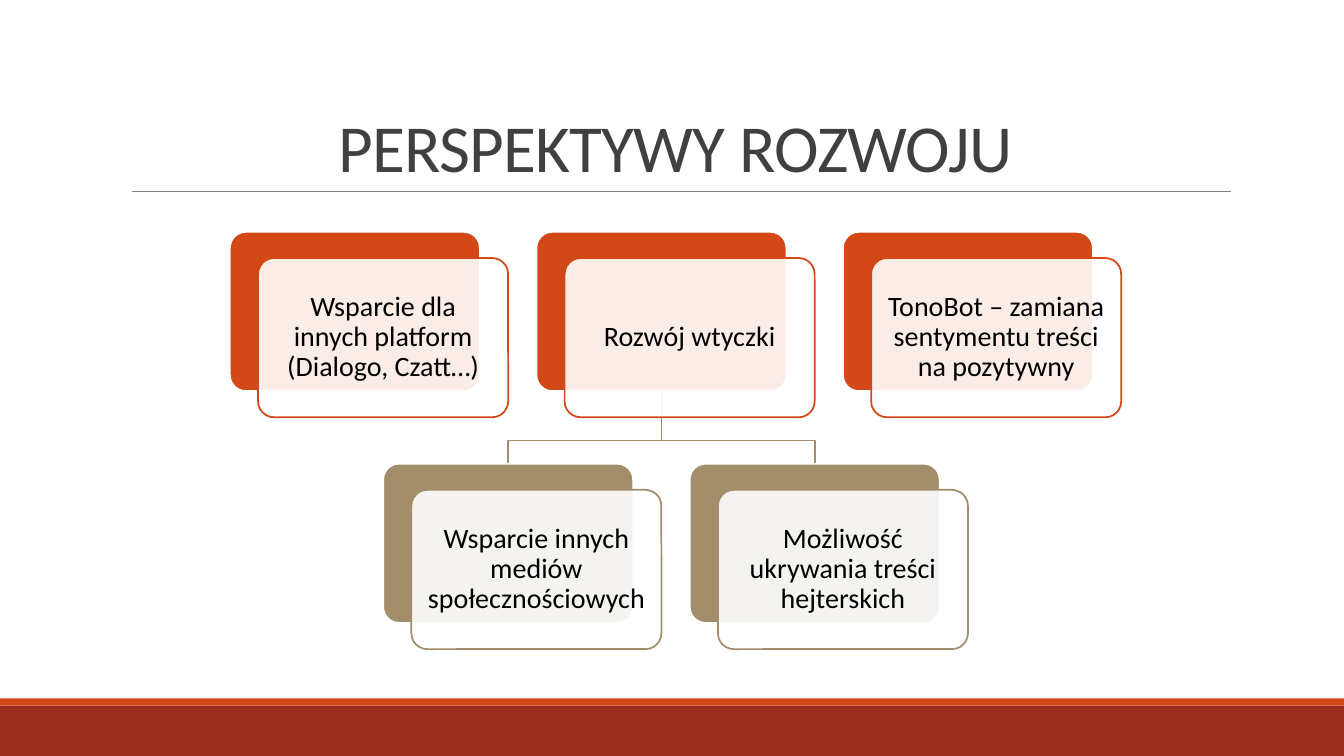
import pptx
import pptx.util
import pptx.dml.color
import pptx.enum.shapes
import pptx.enum.text
import pptx.oxml
import pptx.oxml.ns
from pptx.util import Inches

RGBColor = pptx.dml.color.RGBColor
WHITE = RGBColor(0xFF, 0xFF, 0xFF)
BLACK = RGBColor(0, 0, 0)
TITLE_GREY = RGBColor(0x40, 0x40, 0x40)
RULE_GREY = RGBColor(0x80, 0x80, 0x80)
ORANGE = RGBColor(0xD3, 0x48, 0x17)
BRICK = RGBColor(0x9B, 0x2D, 0x1F)
SAND = RGBColor(0xA2, 0x8E, 0x6A)

CARD_W, CARD_H = 2.48, 1.58
CARD_PITCH = 3.04
CARD_SHIFT_X, CARD_SHIFT_Y = 0.28, 0.26
MIDDLE_X = 6.56
TOP_ROW_Y, BOTTOM_ROW_Y = 2.3, 4.6
BRANCH_Y = 4.37

ROWS = [
    (TOP_ROW_Y, ORANGE, [
        "Wsparcie dla innych platform (Dialogo, Czatt…)",
        "Rozwój wtyczki",
        "TonoBot – zamiana sentymentu treści na pozytywny",
    ]),
    (BOTTOM_ROW_Y, SAND, [
        "Wsparcie innych mediów społecznościowych",
        "Możliwość ukrywania treści hejterskich",
    ]),
]


class RoadmapSlide:
    font_name = "Calibri"
    line_width = 1.25
    shapes_kind = pptx.enum.shapes.MSO_SHAPE

    def __init__(self, deck):
        self.slide = deck.slides.add_slide(deck.slide_layouts[6])

    def outline(self, item, colour, width):
        item.line.color.rgb = colour
        item.line.width = pptx.util.Pt(width)

    def block(self, kind, left, top, width, height, fill, line=None):
        block = self.slide.shapes.add_shape(
            kind, Inches(left), Inches(top), Inches(width), Inches(height))
        block.shadow.inherit = False
        block.fill.solid()
        block.fill.fore_color.rgb = fill
        if line is None:
            block.line.fill.background()
        else:
            self.outline(block, line, self.line_width)
        return block

    def label(self, holder, wording, size, colour, spacing, anchor, insets):
        frame = holder.text_frame
        side, end = Inches(insets[0]), Inches(insets[1])
        frame_format = {
            "word_wrap": True, "vertical_anchor": anchor,
            "margin_left": side, "margin_right": side,
            "margin_top": end, "margin_bottom": end,
        }
        for name, value in frame_format.items():
            setattr(frame, name, value)
        paragraph = frame.paragraphs[0]
        paragraph.alignment = pptx.enum.text.PP_ALIGN.CENTER
        paragraph.line_spacing = spacing
        run = paragraph.add_run()
        run.text = wording
        font_format = {"name": self.font_name, "size": pptx.util.Pt(size)}
        for name, value in font_format.items():
            setattr(run.font, name, value)
        run.font.color.rgb = colour
        return run

    def footer(self):
        for top, height, colour in ((7, 0.5, BRICK), (6.93, 0.07, ORANGE)):
            self.block(self.shapes_kind.RECTANGLE, 0, top, 13.33, height, colour)

    def title(self, wording):
        rule = self.slide.shapes.add_connector(
            pptx.enum.shapes.MSO_CONNECTOR.STRAIGHT,
            Inches(1.31), Inches(1.9), Inches(12.21), Inches(1.9))
        self.outline(rule, RULE_GREY, 0.5)
        rule._element.spPr.append(pptx.oxml.parse_xml(
            "<a:effectLst %s/>" % pptx.oxml.ns.nsdecls("a")))
        heading = self.slide.shapes.add_textbox(
            Inches(1.2), Inches(0.31), Inches(11), Inches(1.59))
        run = self.label(heading, wording, 48, TITLE_GREY, 0.85,
                         pptx.enum.text.MSO_ANCHOR.BOTTOM, (0.1, 0.05))
        run._r.get_or_add_rPr().set("spc", "-50")

    def branch(self, child_x):
        corners = [(MIDDLE_X, BRANCH_Y), (child_x, BRANCH_Y), (child_x, BOTTOM_ROW_Y)]
        builder = self.slide.shapes.build_freeform(
            Inches(MIDDLE_X), Inches(TOP_ROW_Y + CARD_H))
        builder.add_line_segments(
            [(Inches(x), Inches(y)) for x, y in corners], close=False)
        branch = builder.convert_to_shape()
        branch.shadow.inherit = False
        branch.fill.background()
        self.outline(branch, SAND, self.line_width)

    def card(self, left, top, colour, wording):
        rounded = self.shapes_kind.ROUNDED_RECTANGLE
        back = self.block(rounded, left, top, CARD_W, CARD_H, colour, WHITE)
        front = self.block(rounded, left + CARD_SHIFT_X, top + CARD_SHIFT_Y,
                           CARD_W, CARD_H, WHITE, colour)
        for layer in (back, front):
            layer.adjustments[0] = 0.1
        tint = front._element.spPr.find(
            pptx.oxml.ns.qn("a:solidFill") + "/" + pptx.oxml.ns.qn("a:srgbClr"))
        tint.append(pptx.oxml.parse_xml(
            '<a:alpha %s val="90000"/>' % pptx.oxml.ns.nsdecls("a")))
        self.label(front, wording, 20, BLACK, 0.9,
                   pptx.enum.text.MSO_ANCHOR.MIDDLE, (0.08, 0.08))


def row_centres(count):
    return [MIDDLE_X + (i - (count - 1) / 2) * CARD_PITCH for i in range(count)]


def main():
    deck = pptx.Presentation()
    deck.slide_width, deck.slide_height = Inches(13.33), Inches(7.5)
    roadmap = RoadmapSlide(deck)
    roadmap.footer()
    roadmap.title("PERSPEKTYWY ROZWOJU")
    for child_x in row_centres(2):
        roadmap.branch(child_x)
    for top, colour, wordings in ROWS:
        for centre, wording in zip(row_centres(len(wordings)), wordings):
            roadmap.card(centre - CARD_W / 2, top, colour, wording)
    deck.save("out.pptx")


if __name__ == "__main__":
    main()
